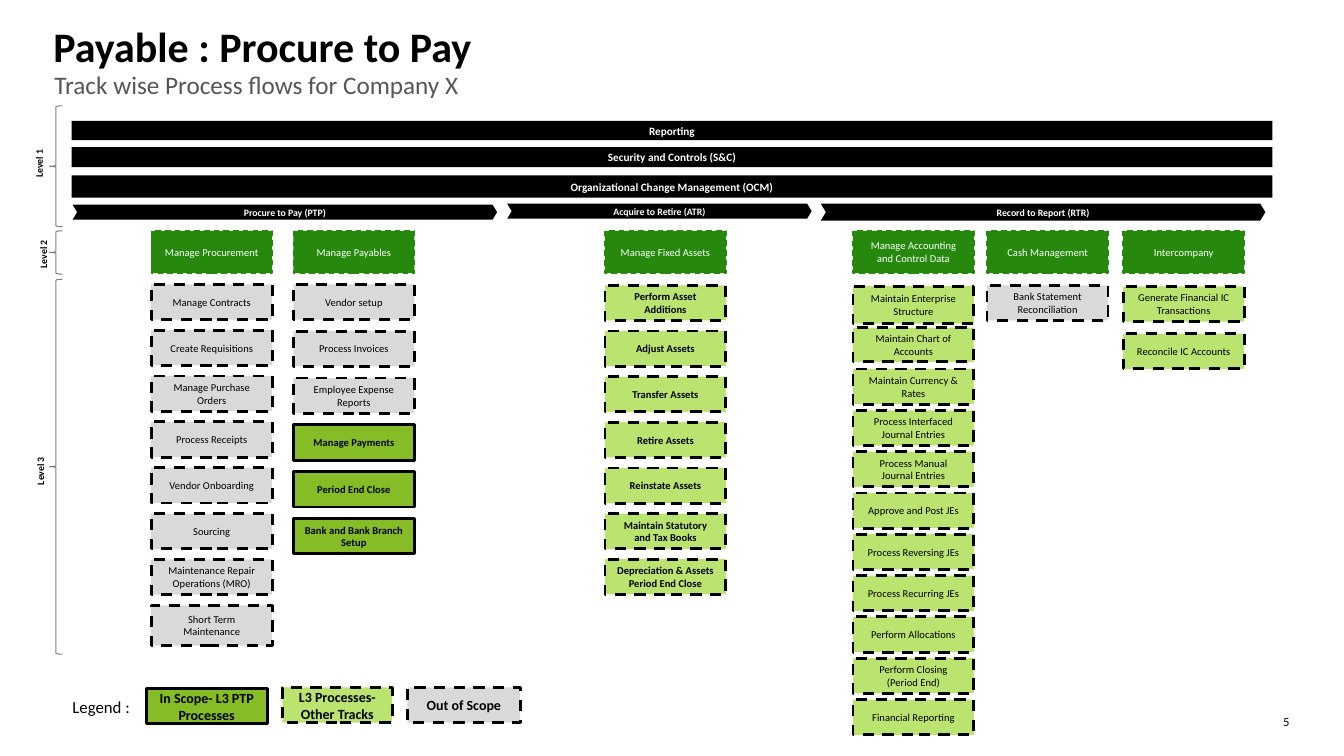
from pptx import Presentation
from pptx.dml.color import RGBColor
from pptx.enum.dml import MSO_LINE as Dash
from pptx.enum.shapes import MSO_SHAPE as Shape
from pptx.enum.text import MSO_ANCHOR as Anchor, MSO_AUTO_SIZE as AutoSize, PP_ALIGN as Align
from pptx.util import Inches, Pt

SLIDE_WIDTH, SLIDE_HEIGHT = 13.33, 7.5
COLUMNS, ROWS = 133.3, 75
BLACK, WHITE, GREY = "000000", "FFFFFF", "808080"
SUBTITLE_GREY, HEADER_GREEN = "53565A", "26890D"
TASK_WIDTH, TASK_HEIGHT = 12, 3.5

SCOPES = {
    "in scope": ("86BC25", None, True),
    "other": ("BAE370", Dash.DASH, False),
    "other, strong": ("BAE370", Dash.DASH, True),
    "out": ("D9D9D9", Dash.DASH, False),
    "out, strong": ("D9D9D9", Dash.DASH, True),
}

FOUNDATIONS = [
    (12, 1.9, "Reporting"),
    (14.6, 2, "Security and Controls (S&C)"),
    (17.4, 2.2, "Organizational Change Management (OCM)"),
]

TRACKS = [
    (7.2, 20.3, 42.1, 1.5, "Procure to Pay (PTP)"),
    (50.3, 20.2, 30.2, 1.5, "Acquire to Retire (ATR)"),
    (81.4, 20.2, 44.1, 1.7, "Record to Report (RTR)"),
]

LEVELS = [
    ("Level 1", 10.5, 12, (1.5, 15.1, 4.8, 2.2), False),
    ("Level 2", 22.9, 4.3, (1.9, 24.1, 4.8, 2.2), False),
    ("Level 3", 27.7, 37.2, (1.3, 45.3, 5.4, 2.2), True),
]

PROCESSES = [
    (15, "Manage Procurement", 28.2, 4.55, [
        ("out", "Manage Contracts"),
        ("out", "Create Requisitions"),
        ("out", "Manage Purchase Orders"),
        ("out", "Process Receipts"),
        ("out", "Vendor Onboarding"),
        ("out", "Sourcing"),
        ("out", "Maintenance Repair Operations (MRO)"),
        ("out", "Short Term Maintenance", 4),
    ]),
    (29.1, "Manage Payables", 28.2, 4.65, [
        ("out", "Vendor setup"),
        ("out", "Process Invoices"),
        ("out", "Employee Expense Reports"),
        ("in scope", "Manage Payments"),
        ("in scope", "Period End Close"),
        ("in scope", "Bank and Bank Branch Setup"),
    ]),
    (60, "Manage Fixed Assets", 28.3, 4.53, [
        ("other, strong", "Perform Asset Additions"),
        ("other, strong", "Adjust Assets"),
        ("other, strong", "Transfer Assets"),
        ("other, strong", "Retire Assets"),
        ("other, strong", "Reinstate Assets"),
        ("other, strong", "Maintain Statutory and Tax Books"),
        ("other, strong", "Depreciation & Assets Period End Close"),
    ]),
    (84.6, "Manage Accounting and Control Data", 28.4, 4.1, [
        ("other", "Maintain Enterprise Structure", 3.7),
        ("other", "Maintain Chart of Accounts", 3.4),
        ("other", "Maintain Currency & Rates"),
        ("other", "Process Interfaced Journal Entries"),
        ("other", "Process Manual Journal Entries"),
        ("other", "Approve and Post JEs"),
        ("other", "Process Reversing JEs"),
        ("other", "Process Recurring JEs"),
        ("other", "Perform Allocations"),
        ("other", "Perform Closing\n(Period End)"),
        ("other", "Financial Reporting"),
    ]),
    (97.9, "Cash Management", 28.3, 4.1, [
        ("out", "Bank Statement Reconciliation"),
    ]),
    (111.4, "Intercompany", 28.4, 4.7, [
        ("other", "Generate Financial IC Transactions"),
        ("other", "Reconcile IC Accounts"),
    ]),
]

LEGEND = [
    (14.5, 68.3, 12, "in scope", "In Scope- L3 PTP Processes"),
    (28, 68.2, 10.9, "other, strong", "L3 Processes- Other Tracks"),
    (40.4, 68.2, 11.2, "out, strong", "Out of Scope"),
]


def rgb(code):
    return RGBColor.from_string(code)


class ProcessMap:
    """Draws process-map elements on one slide, placed by grid columns and rows."""

    def __init__(self, font="Calibri"):
        self.font = font
        self.deck = Presentation()
        self.deck.slide_width = Inches(SLIDE_WIDTH)
        self.deck.slide_height = Inches(SLIDE_HEIGHT)
        self.slide = self.deck.slides.add_slide(self.deck.slide_layouts[5])

    def area(self, column, row, width, height):
        across, down = SLIDE_WIDTH / COLUMNS, SLIDE_HEIGHT / ROWS
        return (Inches(column * across), Inches(row * down),
                Inches(width * across), Inches(height * down))

    def set_text(self, frame, text, size, color, bold=False, align=Align.LEFT, anchor=Anchor.TOP):
        frame.text = text
        frame.vertical_anchor = anchor
        for paragraph in frame.paragraphs:
            paragraph.alignment = align
            paragraph.font.name = self.font
            paragraph.font.size = Pt(size)
            paragraph.font.bold = bold
            paragraph.font.color.rgb = rgb(color)

    def clear_margins(self, frame):
        frame.margin_left = frame.margin_right = frame.margin_top = frame.margin_bottom = 0

    def title(self, text, place):
        heading = self.slide.shapes.title
        heading.left, heading.top, heading.width, heading.height = self.area(*place)
        frame = heading.text_frame
        frame.auto_size = AutoSize.NONE
        self.clear_margins(frame)
        self.set_text(frame, text, 30, BLACK, bold=True)

    def label(self, text, place, size, color=BLACK, tight=False, wrap=True, turn=0, **style):
        box = self.slide.shapes.add_textbox(*self.area(*place))
        box.rotation = turn
        frame = box.text_frame
        frame.word_wrap = wrap
        if tight:
            self.clear_margins(frame)
        self.set_text(frame, text, size, color, **style)

    def outline(self, shape, color, width, dash=None):
        shape.line.color.rgb = rgb(color)
        shape.line.width = Pt(width)
        if dash:
            shape.line.dash_style = dash

    def block(self, kind, text, place, fill, size, color=WHITE, bold=True, border=None):
        block = self.slide.shapes.add_shape(kind, *self.area(*place))
        block.shadow.inherit = False
        block.fill.solid()
        block.fill.fore_color.rgb = rgb(fill)
        if border:
            self.outline(block, *border)
        else:
            block.line.fill.background()
        if kind == Shape.CHEVRON:
            block.adjustments[0] = 0.3
        self.set_text(block.text_frame, text, size, color, bold, Align.CENTER, Anchor.MIDDLE)

    def task(self, text, place, scope, size=7.5):
        fill, dash, bold = SCOPES[scope]
        self.block(Shape.RECTANGLE, text, place, fill, size, BLACK, bold, (BLACK, 2, dash))

    def process(self, column, name, first_row, pitch, tasks):
        self.block(Shape.RECTANGLE, name, (column, 22.9, TASK_WIDTH, 4.2), HEADER_GREEN, 7.5,
                   bold=False, border=(HEADER_GREEN, 1, Dash.DASH))
        for index, (scope, text, *height) in enumerate(tasks):
            place = (column, first_row + index * pitch, TASK_WIDTH, *(height or [TASK_HEIGHT]))
            self.task(text, place, scope)

    def level(self, name, row, height, label_place, wrap):
        brace = self.slide.shapes.add_shape(Shape.LEFT_BRACE, *self.area(4.9, row, 1.3, height))
        brace.shadow.inherit = False
        brace.fill.background()
        self.outline(brace, GREY, 0.75)
        self.label(name, label_place, 7, bold=True, wrap=wrap, turn=270)


def main():
    page = ProcessMap()
    page.title("Payable : Procure to Pay", (5.3, 2, 122.4, 3.7))
    page.label("Track wise Process flows for Company X", (5.4, 6.9, 122.4, 8.3), 18,
               SUBTITLE_GREY, tight=True)
    for row, height, foundation in FOUNDATIONS:
        page.block(Shape.RECTANGLE, foundation, (7.1, row, 119.1, height), BLACK, 8)
    for *place, track in TRACKS:
        page.block(Shape.CHEVRON, track, place, BLACK, 7)
    for level in LEVELS:
        page.level(*level)
    for process in PROCESSES:
        page.process(*process)
    page.label("Legend :", (6.2, 69, 10, 2.3), 12, anchor=Anchor.MIDDLE)
    for column, row, width, scope, meaning in LEGEND:
        page.task(meaning, (column, row, width, TASK_HEIGHT), scope, 10)
    page.label("5", (124.5, 70.8, 3.4, 1.5), 9, tight=True, align=Align.RIGHT)
    page.deck.save("out.pptx")


if __name__ == "__main__":
    main()
